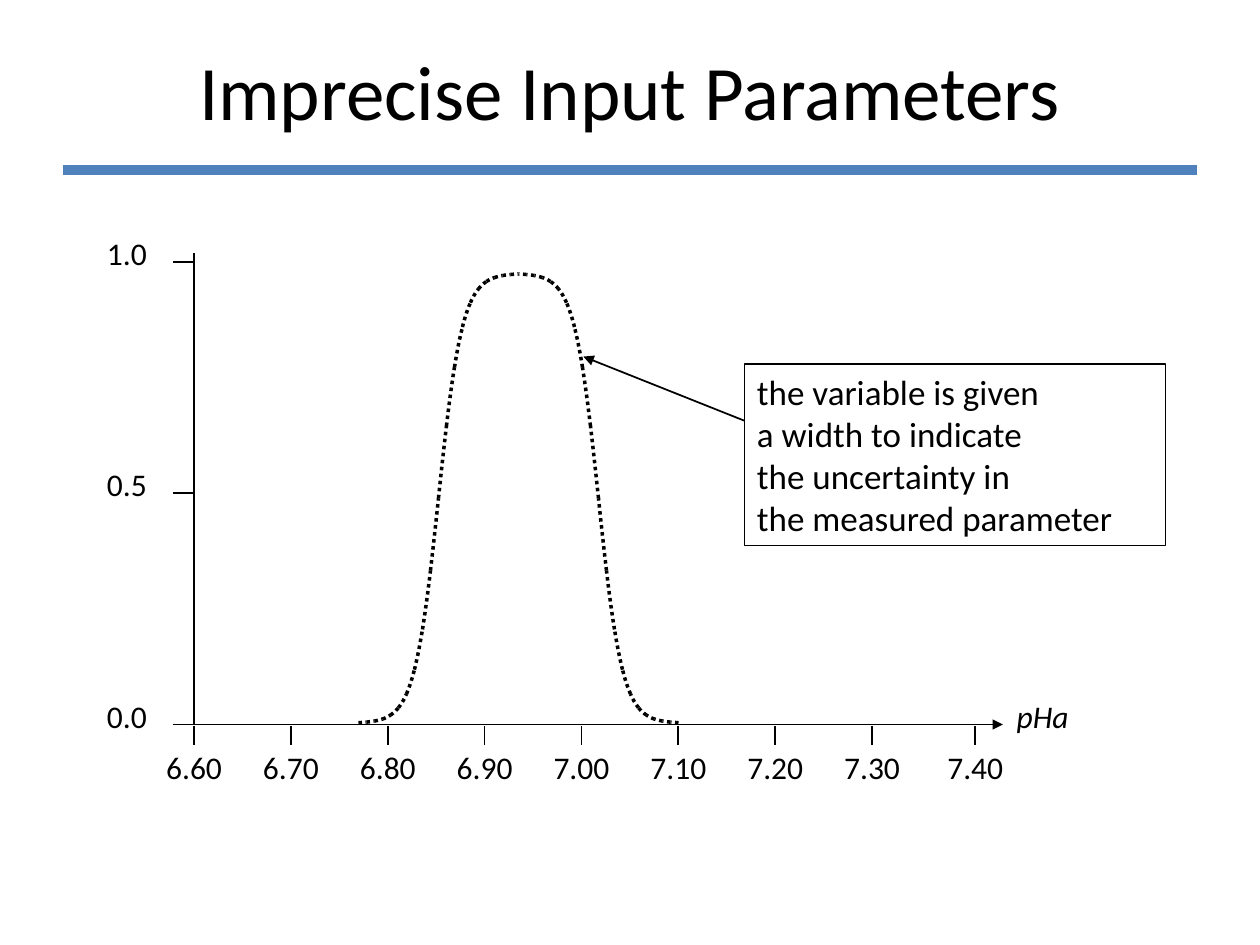
import dataclasses
import math

import pptx
import pptx.dml.color
import pptx.enum.dml
import pptx.enum.shapes
import pptx.enum.text
import pptx.oxml
import pptx.oxml.ns
import pptx.util


@dataclasses.dataclass(frozen=True)
class Theme:
    """Colours, type sizes and line weights."""
    font: str = "Calibri"
    ink: str = "000000"
    accent: str = "4F81BD"
    title: int = 44
    callout: int = 20
    label: int = 18
    thin: int = 1
    dotted: int = 2
    rule: int = 6


@dataclasses.dataclass(frozen=True)
class Box:
    """A region measured in quarter-inch columns and rows."""
    left: float
    top: float
    width: float
    height: float

    def point(self, column, row):
        """Return the slide position of a column and row of this region."""
        return (pptx.util.Inches((self.left + column) / 4),
                pptx.util.Inches((self.top + row) / 4))

    def inner(self, column, row, width, height):
        """Return a smaller region placed relative to this one."""
        return Box(self.left + column, self.top + row, width, height)

    def frame(self):
        """Return left, top, width and height as lengths."""
        return (*self.point(0, 0), pptx.util.Inches(self.width / 4),
                pptx.util.Inches(self.height / 4))


THEME = Theme()


def colour(code):
    """Turn a hexadecimal code into a colour."""
    return pptx.dml.color.RGBColor.from_string(code)


def add_line(page, start, end, code=THEME.ink, weight=THEME.thin, arrow=False):
    """Draw a straight line, with an arrowhead at its end if asked."""
    line = page.shapes.add_connector(
        pptx.enum.shapes.MSO_CONNECTOR.STRAIGHT, *start, *end)
    line.line.color.rgb = colour(code)
    line.line.width = pptx.util.Pt(weight)
    properties = line._element.spPr
    if arrow:
        head = pptx.oxml.parse_xml(
            f'<a:tailEnd {pptx.oxml.ns.nsdecls("a")} type="triangle"/>')
        properties.find(pptx.oxml.ns.qn("a:ln")).append(head)
    properties.append(pptx.oxml.parse_xml(
        f'<a:effectLst {pptx.oxml.ns.nsdecls("a")}/>'))


def write(shape, text, size, align=pptx.enum.text.PP_ALIGN.LEFT, italic=None):
    """Fill a shape with text in the theme's font."""
    shape.text_frame.text = text
    for para in shape.text_frame.paragraphs:
        para.alignment = align
        for span in para.runs:
            span.font.name = THEME.font
            span.font.size = pptx.util.Pt(size)
            span.font.color.rgb = colour(THEME.ink)
            span.font.italic = italic


def add_label(page, box, text, italic=None):
    """Place an axis label that does not wrap."""
    label = page.shapes.add_textbox(*box.frame())
    write(label, text, THEME.label, italic=italic)
    label.text_frame.word_wrap = False
    label.text_frame.auto_size = pptx.enum.text.MSO_AUTO_SIZE.SHAPE_TO_FIT_TEXT


def add_heading(page, box):
    """Place the centred title and the rule below it."""
    add_line(page, box.point(0, 5.04), box.point(box.width, 5.04),
             THEME.accent, THEME.rule)
    title = page.shapes.add_textbox(*box.frame())
    write(title, "Imprecise Input Parameters", THEME.title,
          pptx.enum.text.PP_ALIGN.CENTER)
    title.text_frame.word_wrap = True
    title.text_frame.vertical_anchor = pptx.enum.text.MSO_ANCHOR.MIDDLE


def add_axes(page, box):
    """Draw both axes with their ticks and labels."""
    base = box.height
    add_line(page, box.point(0, -0.28), box.point(0, base))
    add_line(page, box.point(0, base), box.point(25.68, base), arrow=True)
    for value in (0.0, 0.5, 1.0):
        row = base * (1 - value)
        add_line(page, box.point(0, row), box.point(-0.66, row))
        add_label(page, box.inner(-3.16, row - 1.08, 2.64, 2), f"{value:.1f}")
    steps = 8
    for step in range(steps + 1):
        column = box.width * step / steps + (0.2 if step == steps else 0)
        add_line(page, box.point(column, base + 0.04),
                 box.point(column, base + 0.64))
        add_label(page, box.inner(column - 1.28, base + 0.56, 3.4, 2),
                  f"{6.6 + step / 10:.2f}")
    add_label(page, box.inner(25.72, base - 1.08, 3.24, 2), "pHa", italic=True)


def add_curve(page, box):
    """Draw a dotted bell from mirrored logistic halves in short strands."""
    strands, substeps, centre = 20, 6, 10.3

    def place(step, side):
        """Return the curve position a number of steps from the centre."""
        rise = math.tanh((strands / 2 - step) / 3)
        return box.point(centre + side * step * 0.254, 7.5 - 7.14 * rise)

    for side in (1, -1):
        half = page.shapes.add_group_shape()
        for strand in range(strands):
            points = [place(strand + 1 - substep / substeps, side)
                      for substep in range(substeps + 1)]
            builder = half.shapes.build_freeform(*points[0])
            builder.add_line_segments(points[1:], close=False)
            piece = builder.convert_to_shape()
            piece.shadow.inherit = False
            piece.fill.background()
            piece.line.color.rgb = colour(THEME.ink)
            piece.line.width = pptx.util.Pt(THEME.dotted)
            piece.line.dash_style = pptx.enum.dml.MSO_LINE.ROUND_DOT


def add_callout(page, box):
    """Place the outlined remark and its arrow to the curve."""
    remark = page.shapes.add_shape(
        pptx.enum.shapes.MSO_SHAPE.RECTANGLE, *box.frame())
    remark.shadow.inherit = False
    remark.fill.background()
    remark.line.color.rgb = colour(THEME.ink)
    remark.line.width = pptx.util.Pt(THEME.thin)
    write(remark, "the variable is given\na width to indicate\n"
          "the uncertainty in\vthe measured parameter", THEME.callout)
    remark.text_frame.word_wrap = True
    remark.text_frame.vertical_anchor = pptx.enum.text.MSO_ANCHOR.TOP
    remark.text_frame.auto_size = pptx.enum.text.MSO_AUTO_SIZE.SHAPE_TO_FIT_TEXT
    add_line(page, box.point(0, 1.8), box.point(-5.12, -0.24), arrow=True)


def main():
    """Build and save the deck."""
    deck = pptx.Presentation()
    deck.slide_width, deck.slide_height = Box(0, 0, 40, 30).frame()[2:]
    page = deck.slides.add_slide(deck.slide_layouts[6])
    plot = Box(6.16, 8.32, 24.6, 14.68)
    add_heading(page, Box(2, 0.36, 36, 5))
    add_axes(page, plot)
    add_curve(page, plot)
    add_callout(page, Box(23.64, 11.56, 13.36, 5.76))
    deck.save("out.pptx")


if __name__ == "__main__":
    main()
